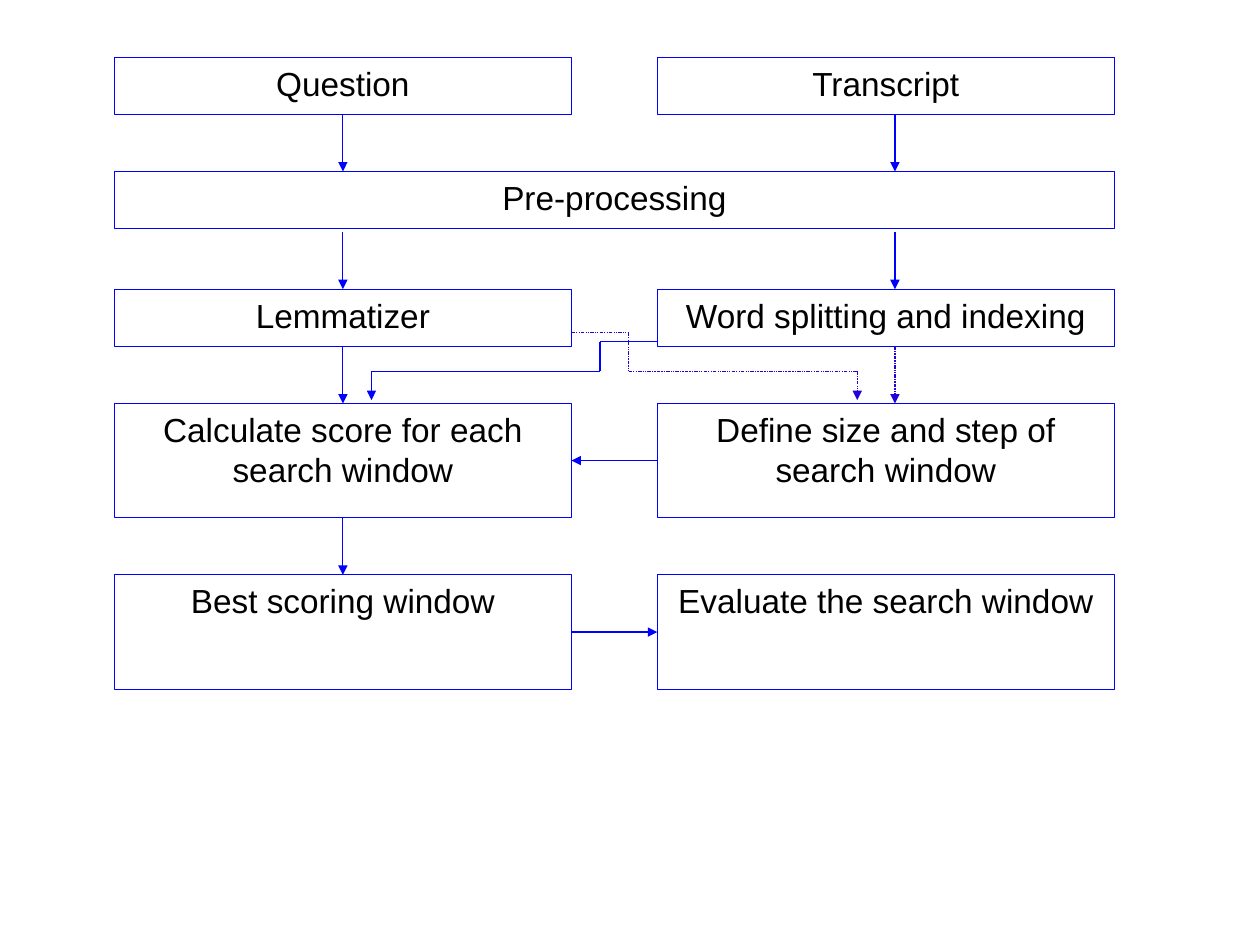
from itertools import pairwise

from lxml.etree import SubElement
from pptx import Presentation
from pptx.dml.color import RGBColor
from pptx.enum.dml import MSO_LINE
from pptx.enum.shapes import MSO_CONNECTOR, MSO_SHAPE
from pptx.enum.text import MSO_ANCHOR, PP_ALIGN
from pptx.oxml.ns import qn
from pptx.util import Inches, Pt

BLUE = RGBColor(0x00, 0x00, 0xFF)
VIOLET = RGBColor(0x23, 0x00, 0xDC)
BLACK = RGBColor(0x00, 0x00, 0x00)
TOP, LEFT, BOTTOM, RIGHT = range(4)
CM_PER_INCH = 2.54


def add_step(slide, left, top, width, height, label):
    step = slide.shapes.add_shape(
        MSO_SHAPE.RECTANGLE, Inches(left), Inches(top), Inches(width), Inches(height))
    step.shadow.inherit = False
    step.fill.background()
    step.line.color.rgb = BLUE
    step.line.width = Pt(0.75)
    frame = step.text_frame
    frame.word_wrap = True
    frame.vertical_anchor = MSO_ANCHOR.TOP
    paragraph = frame.paragraphs[0]
    paragraph.alignment = PP_ALIGN.CENTER
    run = paragraph.add_run()
    run.text = label
    run.font.name = "Arial"
    run.font.size = Pt(21)
    run.font.color.rgb = BLACK
    return step


def add_flow(slide, start, end, color=BLUE, dashed=False, arrow=True):
    flow = slide.shapes.add_connector(
        MSO_CONNECTOR.STRAIGHT, *(Inches(value) for value in (*start, *end)))
    flow.line.color.rgb = color
    flow.line.width = Pt(0.75)
    if dashed:
        flow.line.dash_style = MSO_LINE.DASH_DOT_DOT
        flow.line._ln.find(qn("a:prstDash")).set("val", "sysDashDotDot")
    if arrow:
        SubElement(flow.line._ln, qn("a:tailEnd"), type="triangle")
    SubElement(flow._element.spPr, qn("a:effectLst"))
    return flow


def join_steps(slide, source, source_side, target, target_side):
    flow = add_flow(slide, (0, 0), (1, 1))
    flow.begin_connect(source, source_side)
    flow.end_connect(target, target_side)


def add_bent_flow(slide, corners, color=BLUE, dashed=False):
    for start, end in pairwise(corners):
        add_flow(slide, start, end, color, dashed, arrow=end == corners[-1])


def add_flowchart(slide, left, top, width):
    step_width, gap = 4, 0.5
    right_left = left + width - step_width
    left_end = left + step_width
    prepare_top, split_top, score_top, best_top = (
        top + offset for offset in (1, 2.03, 3.03, 4.53))

    question = add_step(slide, left, top, step_width, 0.5, "Question")
    add_step(slide, right_left, top, step_width, 0.5, "Transcript")
    add_step(slide, left, prepare_top, width, 0.5, "Pre-processing")
    lemmatizer = add_step(slide, left, split_top, step_width, 0.5, "Lemmatizer")
    add_step(slide, right_left, split_top, step_width, 0.5, "Word splitting and indexing")
    window = add_step(slide, right_left, score_top, step_width, 1,
                      "Define size and step of search window")
    score = add_step(slide, left, score_top, step_width, 1,
                     "Calculate score for each search window")
    best = add_step(slide, left, best_top, step_width, 1, "Best scoring window")
    evaluation = add_step(slide, right_left, best_top, step_width, 1,
                          "Evaluate the search window")

    left_flow, right_flow = left + step_width / 2, left + 6.83
    question_flow = add_flow(slide, (left_flow, prepare_top - gap), (left_flow, prepare_top))
    question_flow.begin_connect(question, BOTTOM)
    lemma_flow = add_flow(slide, (left_flow, split_top - gap), (left_flow, split_top))
    lemma_flow.end_connect(lemmatizer, TOP)
    for flow_end in (prepare_top, split_top):
        add_flow(slide, (right_flow, flow_end - gap), (right_flow, flow_end))
    add_flow(slide, (right_flow, score_top - gap), (right_flow, score_top), VIOLET, True)

    join_steps(slide, lemmatizer, BOTTOM, score, TOP)
    join_steps(slide, score, BOTTOM, best, TOP)
    join_steps(slide, window, LEFT, score, RIGHT)
    join_steps(slide, best, RIGHT, evaluation, LEFT)

    bend, tip = top + 2.75, top + 3
    index_exit, lemma_exit = top + 2.49, top + 2.41
    add_bent_flow(slide, [
        (right_left, index_exit), (left_end + 0.25, index_exit),
        (left_end + 0.25, bend), (left + 2.25, bend), (left + 2.25, tip)])
    add_bent_flow(slide, [
        (left_end, lemma_exit), (left_end + 0.5, lemma_exit),
        (left_end + 0.5, bend), (left + 6.5, bend), (left + 6.5, tip)], VIOLET, True)


def main():
    presentation = Presentation()
    presentation.slide_width = Inches(28 / CM_PER_INCH)
    presentation.slide_height = Inches(21 / CM_PER_INCH)
    slide = presentation.slides.add_slide(presentation.slide_layouts[6])
    add_flowchart(slide, 1, 0.5, 8.75)
    presentation.save("out.pptx")


if __name__ == "__main__":
    main()
